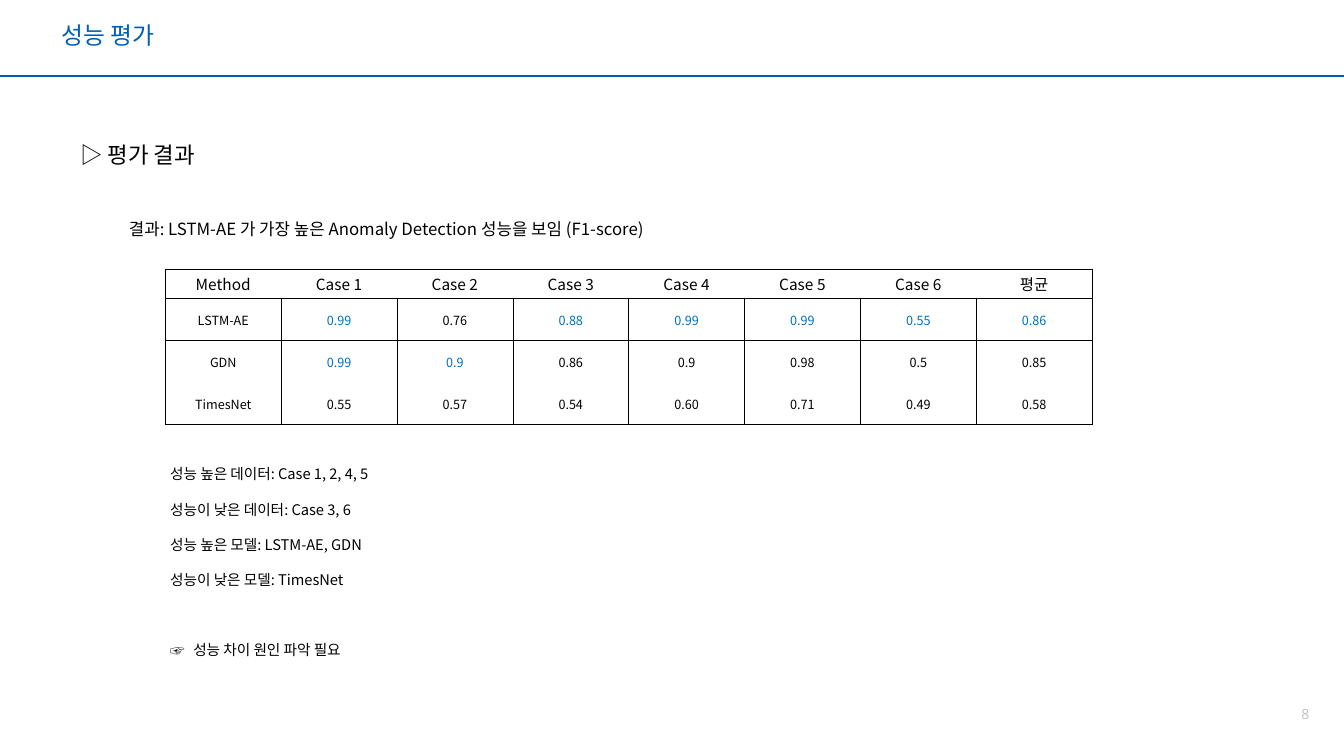
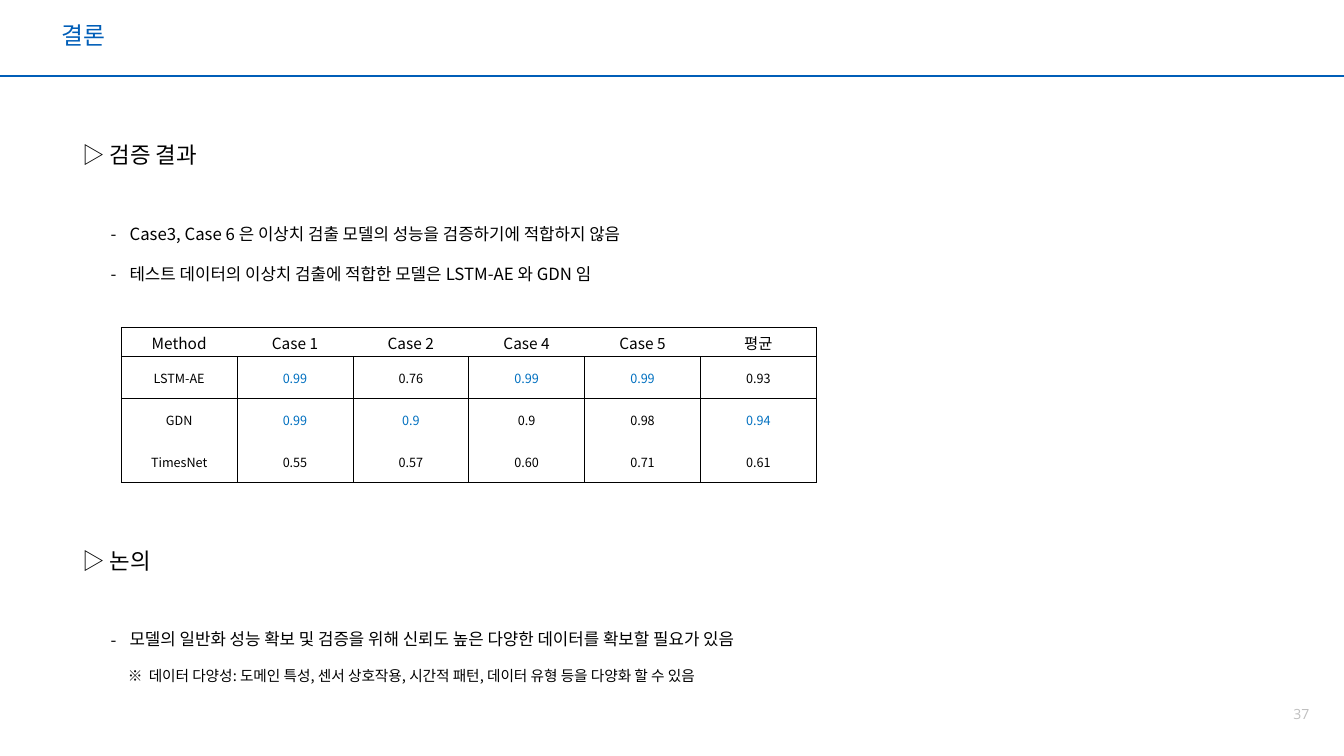
from lxml import etree
from pptx import Presentation
from pptx.dml.color import RGBColor
from pptx.enum.shapes import MSO_CONNECTOR
from pptx.enum.text import MSO_ANCHOR, PP_ALIGN
from pptx.oxml.ns import qn
from pptx.util import Pt

LEFT, CENTER, RIGHT = PP_ALIGN.LEFT, PP_ALIGN.CENTER, PP_ALIGN.RIGHT
TOP, MIDDLE = MSO_ANCHOR.TOP, MSO_ANCHOR.MIDDLE
STRAIGHT = MSO_CONNECTOR.STRAIGHT

WIDTH, HEIGHT = 960, 540
NAVY, BLUE, BLACK, GRAY = "005EB8", "0070C0", "000000", "BFBFBF"
KOREAN, OPEN = "Noto Sans CJK KR", "Open Sans"
PLAIN_STYLE = "{2D5ABB26-0587-4C30-8999-92F81FD0307C}"
COL, HEAD, ROW = 82.77, 20.8, 30.1

# A bullet is its sign, the indent of the text and the hang of the sign.
DASH = ("-", 13.5, 13.5)
HAND = ("☞", 16.5, 16.5)
NOTE = ("※", 27.2, 15)

# A paragraph is a text and what sets it apart.
SLIDES = [
    {
        "title": "성능 평가",
        "page": "8",
        "heads": [(50.4, 97.2, "▷ 평가 결과")],
        "bodies": [
            (85, 138.2, 481, 12, [
                ("결과: LSTM-AE 가 가장 높은 Anomaly Detection 성능을 보임 (F1-score)", {}),
            ]),
            (114.5, 316.1, 481, 10.5, [
                ("성능 높은 데이터: Case 1, 2, 4, 5", {}),
                ("성능이 낮은 데이터: Case 3, 6", {}),
                ("성능 높은 모델: LSTM-AE, GDN", {}),
                ("성능이 낮은 모델: TimesNet", {}),
                ("성능 차이 원인 파악 필요", {"bullet": HAND, "before": 25.1}),
            ]),
        ],
        "table": (118.1, 192.2, [
            ["Method", "Case 1", "Case 2", "Case 3", "Case 4", "Case 5", "Case 6", "평균"],
            ["LSTM-AE", "0.99", "0.76", "0.88", "0.99", "0.99", "0.55", "0.86"],
            ["GDN", "0.99", "0.9", "0.86", "0.9", "0.98", "0.5", "0.85"],
            ["TimesNet", "0.55", "0.57", "0.54", "0.60", "0.71", "0.49", "0.58"],
        ]),
    },
    {
        "title": "결론",
        "page": "37",
        "heads": [(51.8, 97.2, "▷ 검증 결과"), (51.8, 387.4, "▷ 논의")],
        "bodies": [
            (72, 141.5, 750, 12, [
                ("Case3, Case 6 은 이상치 검출 모델의 성능을 검증하기에 적합하지 않음",
                 {"bullet": DASH}),
                ("테스트 데이터의 이상치 검출에 적합한 모델은 LSTM-AE 와 GDN 임",
                 {"bullet": DASH}),
            ]),
            (72, 431.3, 750, 12, [
                ("모델의 일반화 성능 확보 및 검증을 위해 신뢰도 높은 다양한 데이터를 확보할 필요가 있음",
                 {"bullet": DASH}),
                ("데이터 다양성: 도메인 특성, 센서 상호작용, 시간적 패턴, 데이터 유형 등을 다양화 할 수 있음",
                 {"bullet": NOTE, "size": 10.5}),
            ]),
        ],
        "table": (86.6, 233.8, [
            ["Method", "Case 1", "Case 2", "Case 4", "Case 5", "평균"],
            ["LSTM-AE", "0.99", "0.76", "0.99", "0.99", "0.93"],
            ["GDN", "0.99", "0.9", "0.9", "0.98", "0.94"],
            ["TimesNet", "0.55", "0.57", "0.60", "0.71", "0.61"],
        ]),
    },
]


def rgb(code):
    return RGBColor.from_string(code)


def add(parent, tag, **attrs):
    return etree.SubElement(parent, qn(tag), attrs)


def write(para, text, size=12, color=BLACK, font=KOREAN, align=LEFT,
          lines=None, before=None, bullet=None):
    """Fill one paragraph with formatted text."""
    if bullet:
        sign, indent, hang = bullet
        props = para._p.get_or_add_pPr()
        props.set("marL", str(Pt(indent)))
        props.set("indent", str(-Pt(hang)))
        add(props, "a:buFont", typeface=font)
        add(props, "a:buChar", char=sign)
    para.alignment = align
    if lines:
        para.line_spacing = lines
    if before:
        para.space_before = Pt(before)
    run = para.add_run()
    run.text = text
    run.font.size = Pt(size)
    run.font.name = font
    run.font.color.rgb = rgb(color)
    add(run.font._element, "a:ea", typeface=font)


def put(slide, box, paras, anchor=TOP, inset=(7.2, 3.6), **style):
    """Add a text box; each paragraph may override the common style."""
    frame = slide.shapes.add_textbox(*map(Pt, box)).text_frame
    frame.word_wrap = True
    frame.vertical_anchor = anchor
    frame.margin_left = frame.margin_right = Pt(inset[0])
    frame.margin_top = frame.margin_bottom = Pt(inset[1])
    for i, (text, own) in enumerate(paras):
        para = frame.add_paragraph() if i else frame.paragraphs[0]
        write(para, text, **{**style, **own})


def edge(cell, sides):
    """Draw thin black borders on the given sides, in the order L, R, T, B."""
    props = cell._tc.get_or_add_tcPr()
    for side in sides:
        line = add(props, "a:ln" + side, w=str(Pt(0.5)))
        add(add(line, "a:solidFill"), "a:srgbClr", val=BLACK)


def grid(slide, left, top, rows):
    """Add a score table with the best score of each column in blue."""
    count, last = len(rows[0]), len(rows) - 1
    size = (count * COL, HEAD + last * ROW)
    frame = slide.shapes.add_table(len(rows), count, *map(Pt, (left, top, *size)))
    table = frame.table
    table.first_row = table.horz_banding = False
    table._tbl.tblPr.find(qn("a:tableStyleId")).text = PLAIN_STYLE
    for col in table.columns:
        col.width = Pt(COL)
    for r, row in enumerate(rows):
        table.rows[r].height = Pt(ROW if r else HEAD)
        for c, text in enumerate(row):
            best = r and c and float(text) == max(float(x[c]) for x in rows[1:])
            cell = table.cell(r, c)
            cell.vertical_anchor = MIDDLE
            cell.margin_left = cell.margin_right = cell.margin_top = Pt(0.7)
            cell.margin_bottom = 0
            sides = "L" if r or c == 0 else ""
            sides += "R" if r or c == count - 1 else ""
            sides += "T" if r < 2 else ""
            sides += "B" if r in (0, last) else ""
            edge(cell, sides)
            cell.fill.background()
            write(cell.text_frame.paragraphs[0], text, size=9 if r else 11,
                  color=BLUE if best else BLACK, align=CENTER)


def frame_up(slide, title, page):
    """Add the title, the rule below it and the page number."""
    rule = slide.shapes.add_connector(STRAIGHT, 0, Pt(54), Pt(WIDTH), Pt(54))
    rule.line.color.rgb = rgb(NAVY)
    rule.line.width = Pt(1.5)
    add(rule._element.spPr, "a:effectLst")
    put(slide, (38.2, 8.6, 898, 36), [(title, {})], anchor=MIDDLE,
        inset=(5.8, 2.9), size=17, color=NAVY, lines=0.9)
    put(slide, (905.3, 504, 30, 12.2), [(page, {})], inset=(0, 0),
        size=10, color=GRAY, font=OPEN, align=RIGHT)


def main():
    deck = Presentation()
    deck.slide_width, deck.slide_height = Pt(WIDTH), Pt(HEIGHT)
    for data in SLIDES:
        slide = deck.slides.add_slide(deck.slide_layouts[6])
        frame_up(slide, data["title"], data["page"])
        for left, top, text in data["heads"]:
            put(slide, (left, top, 481, 26.6), [(text, {})], size=16)
        for left, top, width, size, paras in data["bodies"]:
            high = 7.2 + 25.1 * len(paras)
            put(slide, (left, top, width, high), paras, size=size, lines=2)
        grid(slide, *data["table"])
    deck.save("out.pptx")


if __name__ == "__main__":
    main()
